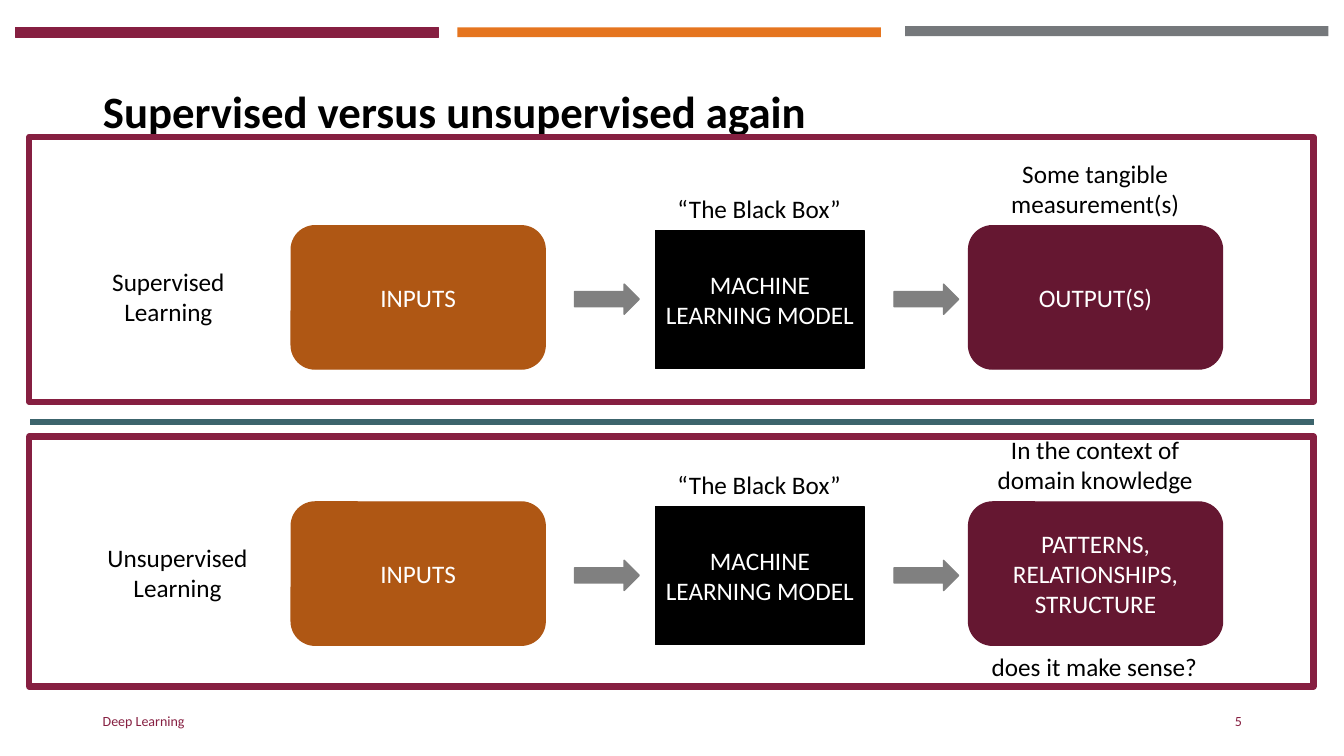
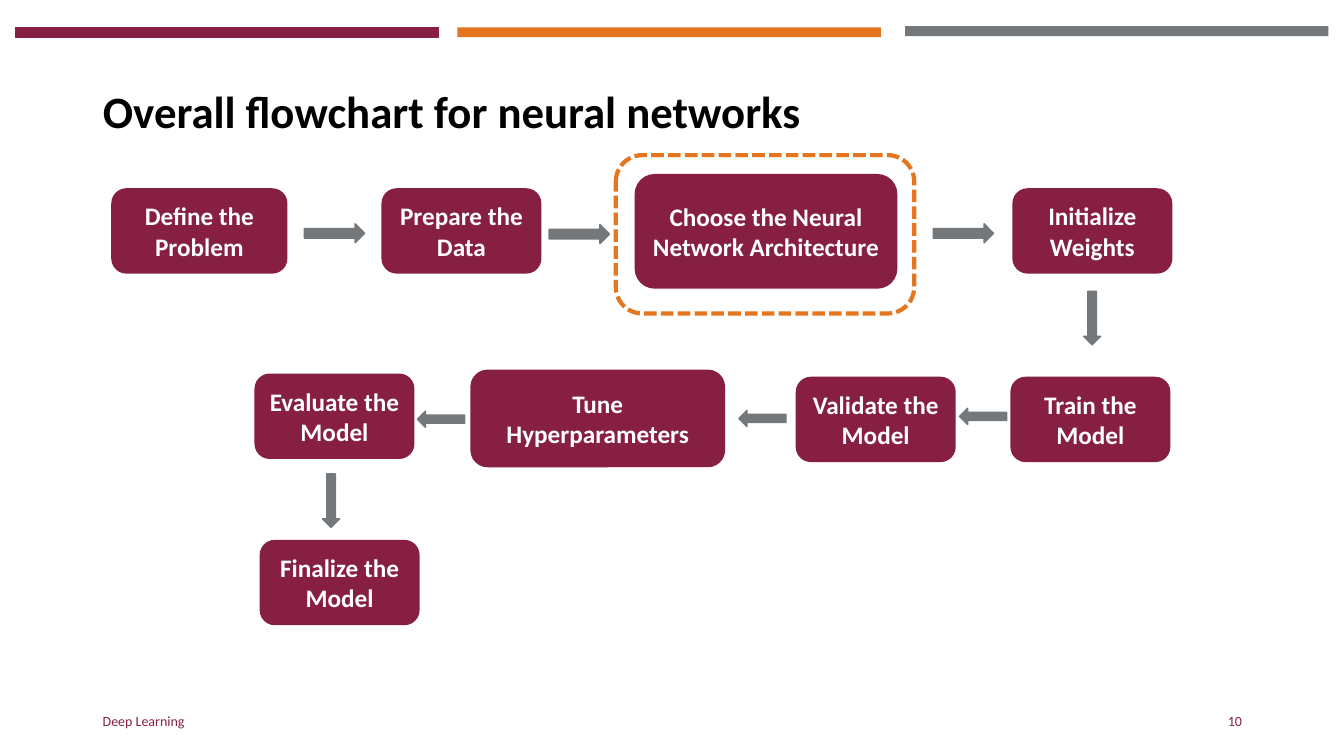
from lxml import etree
from pptx import Presentation
from pptx.dml.color import RGBColor
from pptx.enum.dml import MSO_LINE
from pptx.enum.shapes import MSO_CONNECTOR, MSO_SHAPE
from pptx.enum.text import MSO_ANCHOR, MSO_AUTO_SIZE, PP_ALIGN
from pptx.oxml.ns import qn
from pptx.util import Cm, Pt

RECT, ROUNDED = MSO_SHAPE.RECTANGLE, MSO_SHAPE.ROUNDED_RECTANGLE
PROCESS = MSO_SHAPE.FLOWCHART_ALTERNATE_PROCESS
RIGHT_ARROW, LEFT_ARROW = MSO_SHAPE.RIGHT_ARROW, MSO_SHAPE.LEFT_ARROW
DOWN_ARROW = MSO_SHAPE.DOWN_ARROW
LEFT, CENTER, RIGHT = PP_ALIGN.LEFT, PP_ALIGN.CENTER, PP_ALIGN.RIGHT
TOP, MIDDLE = MSO_ANCHOR.TOP, MSO_ANCHOR.MIDDLE
STRAIGHT, DASH = MSO_CONNECTOR.STRAIGHT, MSO_LINE.SQUARE_DOT
NO_AUTOFIT = MSO_AUTO_SIZE.NONE

# Shared look
FONT = "Calibri"
BLACK = RGBColor(0x00, 0x00, 0x00)
WHITE = RGBColor(0xFF, 0xFF, 0xFF)
MAROON = RGBColor(0x86, 0x1F, 0x41)
DARK_MAROON = RGBColor(0x65, 0x17, 0x31)
ORANGE = RGBColor(0xE5, 0x75, 0x1F)
RUST = RGBColor(0xAF, 0x57, 0x14)
SLATE = RGBColor(0x75, 0x78, 0x7B)
GRAY = RGBColor(0x80, 0x80, 0x80)
TEAL = RGBColor(0x3C, 0x64, 0x6C)

# Bands: left, top, colour
BANDS = [(0.38, 0.69, MAROON), (11.53, 0.69, ORANGE), (22.81, 0.66, SLATE)]
BAND_SIZE = (10.67, 0.25)
FOOTER = "Deep Learning"

# Learning types, one framed row each
COMPARISON_TITLE = "Supervised versus unsupervised again"
LEARNING_ROWS = [
    {"top": 5.69, "frame": (0.74, 3.45, 32.36, 6.68), "label_left": 1.83,
     "label": "Supervised Learning", "result": ["OUTPUT(S)"],
     "caption": "Some tangible measurement(s)"},
    {"top": 12.65, "frame": (0.74, 11, 32.36, 6.3), "label_left": 2.06,
     "label": "Unsupervised Learning",
     "result": ["PATTERNS,", "RELATIONSHIPS, STRUCTURE"],
     "caption": "In the context of domain knowledge"},
]
ROW_ARROW_LEFTS = (14.48, 22.53)
QUESTION = "does it make sense?"

# Flowchart steps: text, left, top, width, height
FLOWCHART_TITLE = "Overall flowchart for neural networks"
STEP = (3.96, 2.08)
STEPS = [
    ("Define the Problem", 2.84, 4.78, 4.37, 2.08),
    ("Prepare the Data", 9.65, 4.78, *STEP),
    ("Choose the Neural Network Architecture", 16.03, 4.42, 6.55, 2.82),
    ("Initialize Weights", 25.55, 4.78, *STEP),
    ("Train the Model", 25.5, 9.53, *STEP),
    ("Validate the Model", 20.09, 9.53, *STEP),
    ("Tune Hyperparameters", 11.89, 9.35, 6.35, 2.39),
    ("Evaluate the Model", 6.45, 9.45, *STEP),
    ("Finalize the Model", 6.58, 13.64, *STEP),
]
# Flow arrows: shape, size, corners
FLOW_ARROWS = [
    (RIGHT_ARROW, (1.52, 0.48), [(7.67, 5.64), (13.84, 5.66), (23.52, 5.64)]),
    (LEFT_ARROW, (1.19, 0.41), [(10.52, 10.36), (18.62, 10.34), (24.18, 10.29)]),
    (DOWN_ARROW, (0.43, 1.35), [(8.13, 11.94), (27.31, 7.34)]),
]
HIGHLIGHT = (15.52, 3.91, 7.52, 3.99)


def write(frame, lines, size=18, color=BLACK, bold=False, align=CENTER,
          anchor=MIDDLE):
    frame.word_wrap = True
    frame.auto_size = NO_AUTOFIT
    frame.vertical_anchor = anchor
    for index, line in enumerate(lines):
        para = frame.add_paragraph() if index else frame.paragraphs[0]
        para.alignment = align
        span = para.add_run()
        span.text = line
        look = {"name": FONT, "size": Pt(size), "bold": bold}
        for name, value in look.items():
            setattr(span.font, name, value)
        span.font.color.rgb = color


def add_text(page, text, box, **look):
    area = page.shapes.add_textbox(*map(Cm, box))
    write(area.text_frame, [text], **look)


def add_box(page, kind, box, fill=None, line=None, width=1, lines=(),
            bold=False):
    shape = page.shapes.add_shape(kind, *map(Cm, box))
    shape.shadow.inherit = False
    if fill is None:
        shape.fill.background()
    else:
        shape.fill.solid()
        shape.fill.fore_color.rgb = fill
    shape.line.color.rgb = fill if line is None else line
    shape.line.width = Pt(width)
    if lines:
        frame = shape.text_frame
        frame.margin_left = frame.margin_right = Cm(0.15)
        write(frame, lines, color=WHITE, bold=bold)
    return shape


def add_page(deck, title, number):
    page = deck.slides.add_slide(deck.slide_layouts[5])
    for left, top, color in BANDS:
        band = add_box(page, RECT, (left, top, *BAND_SIZE), color, width=0.75)
        if color != MAROON:
            band.line.fill.background()
    heading = page.shapes.title
    place = {"left": 2.34, "top": 1.02, "width": 29.21, "height": 3.68}
    for name, value in place.items():
        setattr(heading, name, Cm(value))
    write(heading.text_frame, [title], size=32, bold=True, align=LEFT)
    heading.text_frame.paragraphs[0].line_spacing = 0.9
    add_text(page, FOOTER, (2.34, 17.65, 11.43, 1.02), size=10,
             color=MAROON, align=LEFT)
    add_text(page, str(number), (23.93, 17.65, 7.62, 1.02), size=10,
             color=MAROON, align=RIGHT)
    return page


def add_learning_row(page, row):
    top = row["top"]
    add_box(page, ROUNDED, (7.34, top, 6.4, 3.61), RUST, lines=["INPUTS"])
    add_box(page, RECT, (16.52, top + 0.12, 5.26, 3.48), BLACK,
            lines=["MACHINE LEARNING MODEL"])
    add_box(page, ROUNDED, (24.41, top, 6.4, 3.61), DARK_MAROON,
            lines=row["result"])
    for left in ROW_ARROW_LEFTS:
        add_box(page, RIGHT_ARROW, (left, top + 1.47, 1.63, 0.76), GRAY)
    captions = [
        ("“The Black Box”", (15.88, top - 0.94, 6.5, 1.02)),
        (row["caption"], (24.4, top - 1.83, 6.4, 1.8)),
        (row["label"], (row["label_left"], top + 0.89, 4.83, 1.8)),
    ]
    for text, box in captions:
        add_text(page, text, box, anchor=TOP)
    add_box(page, RECT, row["frame"], line=MAROON, width=4.5)


def build_comparison(deck):
    page = add_page(deck, COMPARISON_TITLE, 5)
    for row in LEARNING_ROWS:
        add_learning_row(page, row)
    add_text(page, QUESTION, (24, 16.28, 7.16, 1.02), anchor=TOP)
    divider = page.shapes.add_connector(
        STRAIGHT, *map(Cm, (0.76, 10.64, 33.12, 10.64)))
    divider.line.color.rgb = TEAL
    divider.line.width = Pt(4.5)
    etree.SubElement(divider._element.spPr, qn("a:effectLst"))


def build_flowchart(deck):
    page = add_page(deck, FLOWCHART_TITLE, 10)
    for text, *box in STEPS:
        add_box(page, PROCESS, box, MAROON, width=2, lines=[text], bold=True)
    for kind, size, corners in FLOW_ARROWS:
        for corner in corners:
            add_box(page, kind, (*corner, *size), SLATE)
    outline = add_box(page, PROCESS, HIGHLIGHT, line=ORANGE, width=3)
    outline.line.dash_style = DASH


def main():
    deck = Presentation()
    deck.slide_width, deck.slide_height = Cm(33.87), Cm(19.05)
    build_comparison(deck)
    build_flowchart(deck)
    deck.save("out.pptx")


if __name__ == "__main__":
    main()
